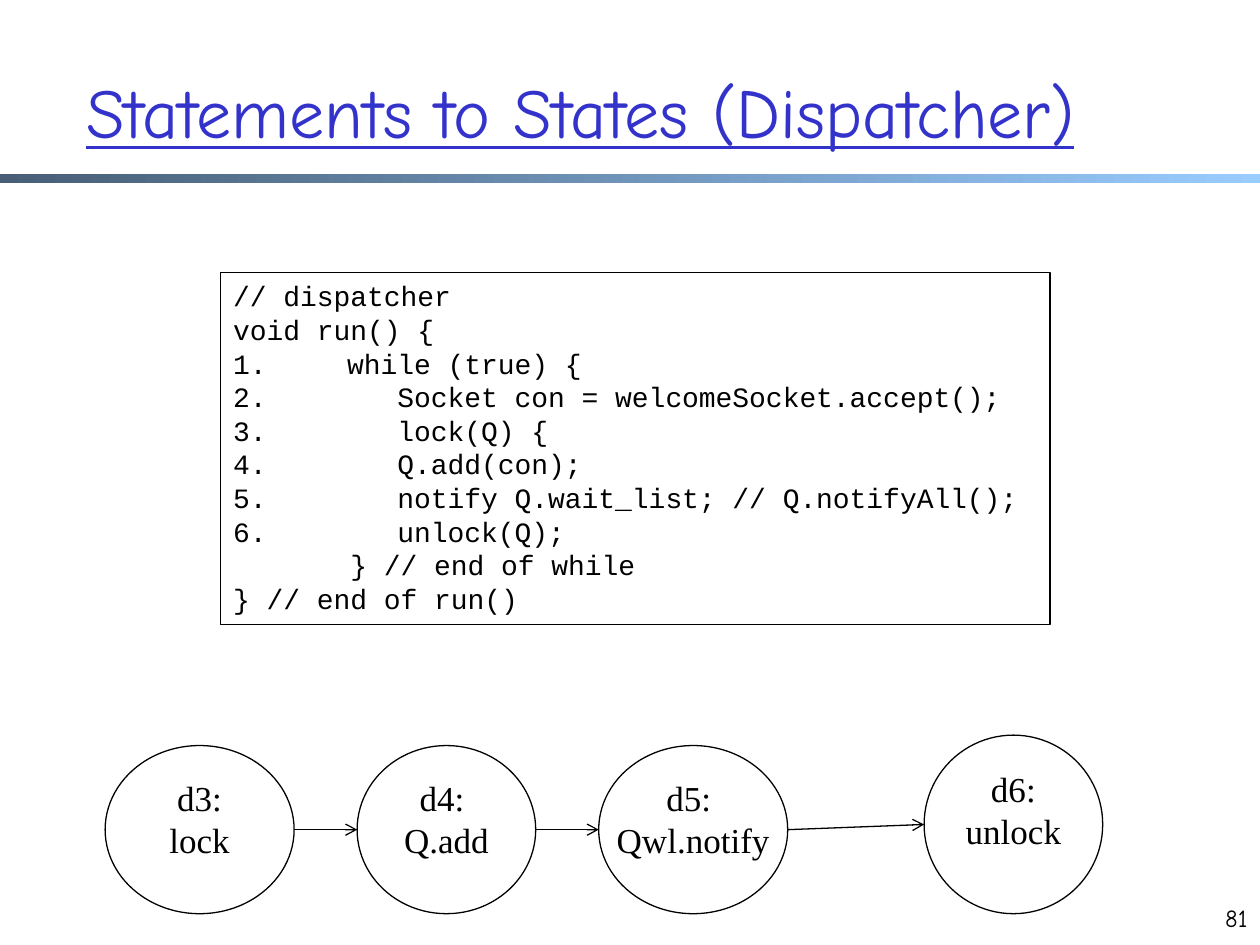
from pptx import Presentation
from pptx import util as u
from pptx.dml import color
from pptx.enum import shapes, text
from pptx.oxml import ns, xmlchemy

TITLE = "Statements to States (Dispatcher)"
CODE = [
    (False, "// dispatcher"),
    (False, "void run() {"),
    (True, "    while (true) {"),
    (True, "       Socket con = welcomeSocket.accept();"),
    (True, "       lock(Q) {"),
    (True, "       Q.add(con);"),
    (True, "       notify Q.wait_list; // Q.notifyAll();"),
    (True, "       unlock(Q);"),
    (False, "       } // end of while"),
    (False, "} // end of run()"),
]
STATES = [
    ("d3:\nlock", 2.12, 3.81, 3.39),
    ("d4: \nQ.add", 7.2, 3.6, 3.39),
    ("d5: \nQwl.notify", 12.07, 3.81, 3.39),
    ("d6:\nunlock", 18.63, 3.6, 3.6),
]
STATE_BOTTOM = 18.42
BLACK = "000000"
TITLE_FONT = {"name": "Comic Neue", "size": u.Pt(40), "underline": True, "bold": False}
NUMBER_FONT = {"name": "Comic Neue", "size": u.Pt(14)}
CODE_FONT = {"name": "Courier New", "size": u.Pt(16)}
STATE_FONT = {"name": "Times New Roman", "size": u.Pt(20)}


def rgb(value):
    return color.RGBColor.from_string(value)


def lengths(*values):
    return [u.Cm(value) for value in values]


def set_font(paragraph, values, hex_color=BLACK):
    for name, value in values.items():
        setattr(paragraph.font, name, value)
    paragraph.font.color.rgb = rgb(hex_color)


def set_line(item):
    item.line.color.rgb = rgb(BLACK)
    item.line.width = u.Pt(0.75)


def add_shape(slide, kind, *box):
    shape = slide.shapes.add_shape(kind, *lengths(*box))
    shape.shadow.inherit = False
    shape.text_frame.vertical_anchor = text.MSO_ANCHOR.TOP
    return shape


def add_child(parent, tag, **attributes):
    child = xmlchemy.OxmlElement(tag)
    for name, value in attributes.items():
        child.set(name, value)
    parent.append(child)
    return child


def add_bar(slide):
    bar = add_shape(slide, shapes.MSO_SHAPE.RECTANGLE, 0, 3.5, 25.4, 0.2)
    bar.line.fill.background()
    bar.fill.gradient()
    bar.fill.gradient_angle = 0
    for stop, value in zip(bar.fill.gradient_stops, ("475E76", "99CCFF")):
        stop.color.rgb = rgb(value)


def add_title(slide):
    title = slide.shapes.title
    title.left, title.top, title.width, title.height = lengths(1.48, 0.64, 23.92, 3.18)
    frame = title.text_frame
    frame.text = TITLE
    frame.auto_size = text.MSO_AUTO_SIZE.NONE
    frame.vertical_anchor = text.MSO_ANCHOR.MIDDLE
    frame.paragraphs[0].alignment = text.PP_ALIGN.LEFT
    set_font(frame.paragraphs[0], TITLE_FONT, "3333CC")


def add_page_number(slide):
    box = slide.shapes.add_textbox(*lengths(24.13, 18.08, 1.27, 1.27))
    box.text_frame.word_wrap = True
    paragraph = box.text_frame.paragraphs[0]
    paragraph.text = "81"
    paragraph.alignment = text.PP_ALIGN.RIGHT
    set_font(paragraph, NUMBER_FONT)


def add_code(slide):
    box = add_shape(slide, shapes.MSO_SHAPE.RECTANGLE, 4.45, 5.5, 16.72, 7.09)
    box.fill.solid()
    box.fill.fore_color.rgb = rgb("FFFFFF")
    set_line(box)
    frame = box.text_frame
    frame.word_wrap = True
    frame.auto_size = text.MSO_AUTO_SIZE.SHAPE_TO_FIT_TEXT
    for index, (numbered, line) in enumerate(CODE):
        paragraph = frame.add_paragraph() if index else frame.paragraphs[0]
        paragraph.text = line
        paragraph.alignment = text.PP_ALIGN.LEFT
        if numbered:
            properties = paragraph._p.get_or_add_pPr()
            properties.set("marL", str(u.Cm(0.95)))
            properties.set("indent", str(-u.Cm(0.95)))
            add_child(properties, "a:buFont", typeface=CODE_FONT["name"])
            add_child(properties, "a:buAutoNum", type="arabicPeriod")
        set_font(paragraph, CODE_FONT)


def add_state(slide, label, left, width, height):
    top = STATE_BOTTOM - height
    state = add_shape(slide, shapes.MSO_SHAPE.OVAL, left, top, width, height)
    state.fill.background()
    set_line(state)
    state.text_frame.word_wrap = False
    paragraph = state.text_frame.paragraphs[0]
    paragraph.text = label
    paragraph.alignment = text.PP_ALIGN.CENTER
    set_font(paragraph, STATE_FONT)
    return state


def add_arrow(slide, source, target):
    arrow = slide.shapes.add_connector(
        shapes.MSO_CONNECTOR.STRAIGHT,
        source.left + source.width, source.top + source.height // 2,
        target.left, target.top + target.height // 2,
    )
    set_line(arrow)
    properties = arrow._element.spPr
    add_child(properties.find(ns.qn("a:ln")), "a:tailEnd", type="arrow")
    add_child(properties, "a:effectLst")


def main():
    presentation = Presentation()
    presentation.slide_width, presentation.slide_height = lengths(25.4, 19.05)
    slide = presentation.slides.add_slide(presentation.slide_layouts[5])
    add_bar(slide)
    add_title(slide)
    add_page_number(slide)
    add_code(slide)
    states = [add_state(slide, *state) for state in STATES]
    for source, target in zip(states, states[1:]):
        add_arrow(slide, source, target)
    presentation.save("out.pptx")


if __name__ == "__main__":
    main()
